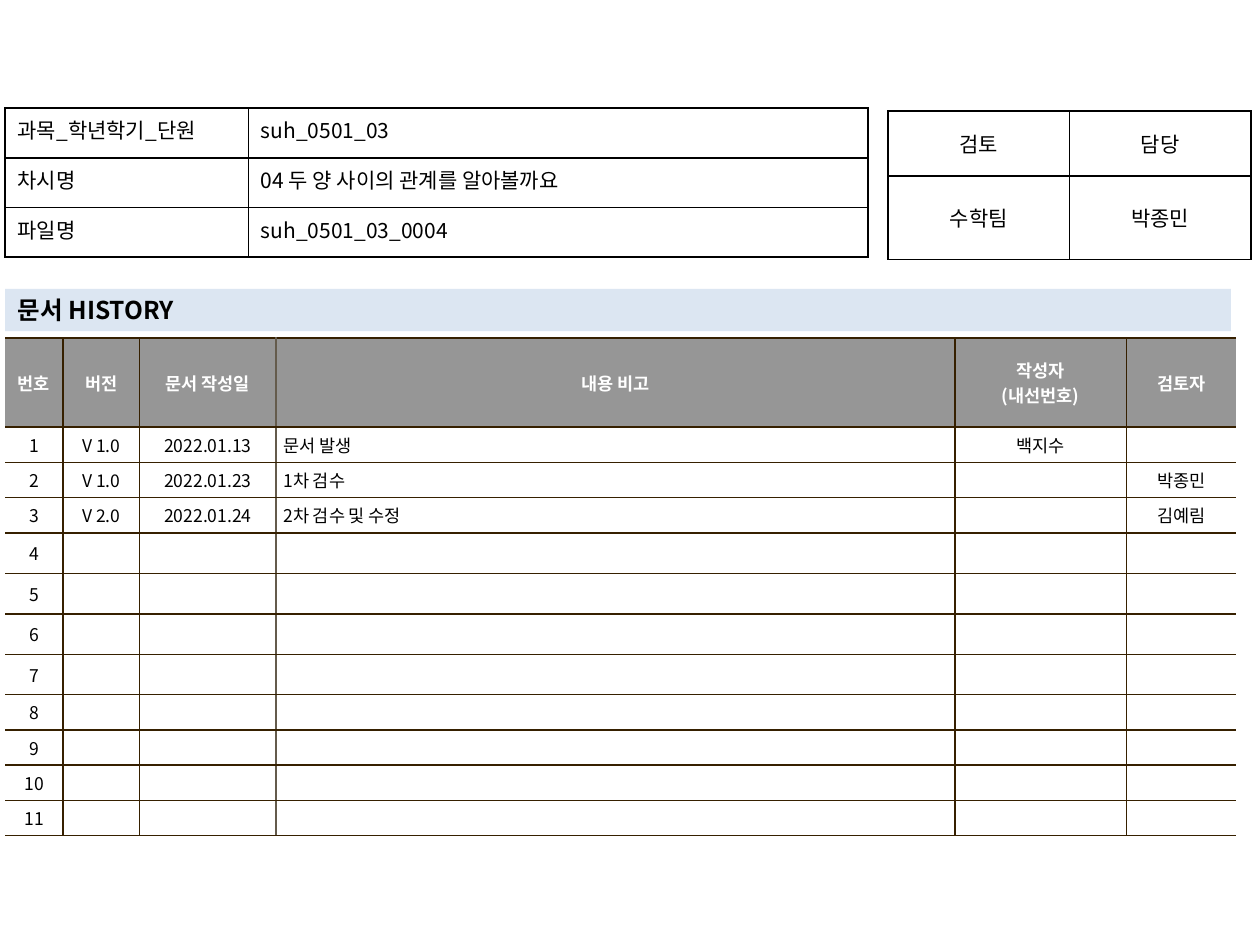
from lxml.etree import SubElement
from pptx import Presentation
from pptx.dml.color import RGBColor
from pptx.enum.text import MSO_ANCHOR as Anchor, MSO_AUTO_SIZE as AutoSize, PP_ALIGN as Align
from pptx.oxml.ns import qn
from pptx.util import Pt

FONT = "Noto Sans CJK KR"
BLACK = RGBColor(0, 0, 0)
WHITE = RGBColor(0xFF, 0xFF, 0xFF)
GRAY = RGBColor(0x96, 0x96, 0x96)
PALE_BLUE = RGBColor(0xDC, 0xE6, 0xF2)
BROWN = RGBColor(0x36, 0x20, 0x00)
LIGHT_BROWN = RGBColor(0x64, 0x5B, 0x4C)

LESSON_ROWS = [
    ("과목_학년학기_단원", "suh_0501_03"),
    ("차시명", "04 두 양 사이의 관계를 알아볼까요"),
    ("파일명", "suh_0501_03_0004"),
]
REVIEW_ROWS = [("검토", "담당"), ("수학팀", "박종민")]
HISTORY_HEADER = ("번호", "버전", "문서 작성일", "내용 비고", "작성자\n(내선번호)", "검토자")
HISTORY_ENTRIES = [
    ("V 1.0", "2022.01.13", "문서 발생", "백지수", ""),
    ("V 1.0", "2022.01.23", "1차 검수", "", "박종민"),
    ("V 2.0", "2022.01.24", "2차 검수 및 수정", "", "김예림"),
]
HISTORY_LENGTH = 11
TALL_ENTRIES = range(4, 8)
NOTE_COLUMN = 3


def write_text(frame, text, size=12, color=BLACK, bold=False, align=Align.LEFT):
    frame.text = text
    for para in frame.paragraphs:
        para.alignment = align
        if not para.runs:
            # An empty cell keeps its row height through the end-of-paragraph size.
            SubElement(para._p, qn("a:endParaRPr"), sz=str(size * 100))
        for span in para.runs:
            span.font.name = FONT
            span.font.size = Pt(size)
            span.font.bold = bold
            span.font.color.rgb = color
            SubElement(span.font._element, qn("a:ea"), typeface=FONT)


def set_borders(cell, **colors):
    """Draw 1 pt borders by side (L, R, T, B); None leaves a side open."""
    props = cell._tc.get_or_add_tcPr()
    for side in "LRTB":
        color = colors[side]
        line = SubElement(props, qn(f"a:ln{side}"), w=str(Pt(1)))
        if color is None:
            SubElement(line, qn("a:noFill"))
        else:
            fill = SubElement(line, qn("a:solidFill"))
            SubElement(fill, qn("a:srgbClr"), val=str(color))


def set_margins(cell, side, end):
    cell.margin_left = cell.margin_right = Pt(side)
    cell.margin_top = cell.margin_bottom = Pt(end)


def add_grid(slide, left, top, widths, heights):
    frame = slide.shapes.add_table(len(heights), len(widths), Pt(left), Pt(top),
                                   Pt(sum(widths)), Pt(sum(heights)))
    table = frame.table
    table.first_row = table.horz_banding = False
    for column, width in zip(table.columns, widths):
        column.width = Pt(width)
    for row, height in zip(table.rows, heights):
        row.height = Pt(height)
    return table


def add_form(slide, left, top, widths, heights, rows, aligns, anchor):
    table = add_grid(slide, left, top, widths, heights)
    for r, texts in enumerate(rows):
        for c, text in enumerate(texts):
            cell = table.cell(r, c)
            set_borders(cell, L=BLACK, R=BLACK, T=BLACK, B=BLACK)
            cell.fill.background()
            set_margins(cell, 7.2, 3.6)
            cell.vertical_anchor = anchor
            write_text(cell.text_frame, text, align=aligns[c])


def add_history(slide):
    widths = [33.1, 43.9, 77.8, 388.1, 97.9, 62.6]
    numbers = range(1, HISTORY_LENGTH + 1)
    heights = [51.1] + [23.15 if n in TALL_ENTRIES else 20.15 for n in numbers]
    table = add_grid(slide, 2.9, 193, widths, heights)
    blanks = [("",) * 5] * (HISTORY_LENGTH - len(HISTORY_ENTRIES))
    entries = [(str(n), *entry) for n, entry in zip(numbers, HISTORY_ENTRIES + blanks)]
    verticals = [None, BROWN, BROWN, LIGHT_BROWN, BROWN, BROWN, None]

    for r, texts in enumerate([HISTORY_HEADER, *entries]):
        header = r == 0
        for c, text in enumerate(texts):
            cell = table.cell(r, c)
            set_borders(cell, L=verticals[c], R=verticals[c + 1], T=BROWN, B=BROWN)
            cell.fill.solid()
            cell.fill.fore_color.rgb = GRAY if header else WHITE
            set_margins(cell, 4.3, 2.85)
            cell.vertical_anchor = Anchor.MIDDLE
            is_note = c == NOTE_COLUMN and not header
            write_text(cell.text_frame, text,
                       size=12 if r in TALL_ENTRIES and not text else 10,
                       color=WHITE if header else BLACK, bold=header,
                       align=Align.LEFT if is_note else Align.CENTER)


def add_heading(slide, text):
    box = slide.shapes.title
    box.left, box.top, box.width, box.height = Pt(2.9), Pt(165), Pt(700.5), Pt(24.2)
    box.fill.solid()
    box.fill.fore_color.rgb = PALE_BLUE
    frame = box.text_frame
    frame.auto_size = AutoSize.NONE
    frame.vertical_anchor = Anchor.MIDDLE
    write_text(frame, text, size=14, bold=True)


def main():
    deck = Presentation()
    deck.slide_width, deck.slide_height = Pt(720), Pt(540)
    page = deck.slides.add_slide(deck.slide_layouts.get_by_name("Title Only"))
    add_history(page)
    add_form(page, 507.5, 63.3, [103.7] * 2, [37.2, 47.8], REVIEW_ROWS,
             [Align.CENTER] * 2, Anchor.MIDDLE)
    add_heading(page, "문서 HISTORY")
    add_form(page, 2.9, 61.8, [139, 354.2], [28.4] * 3, LESSON_ROWS,
             [Align.JUSTIFY, Align.LEFT], Anchor.TOP)
    deck.save("out.pptx")


if __name__ == "__main__":
    main()
